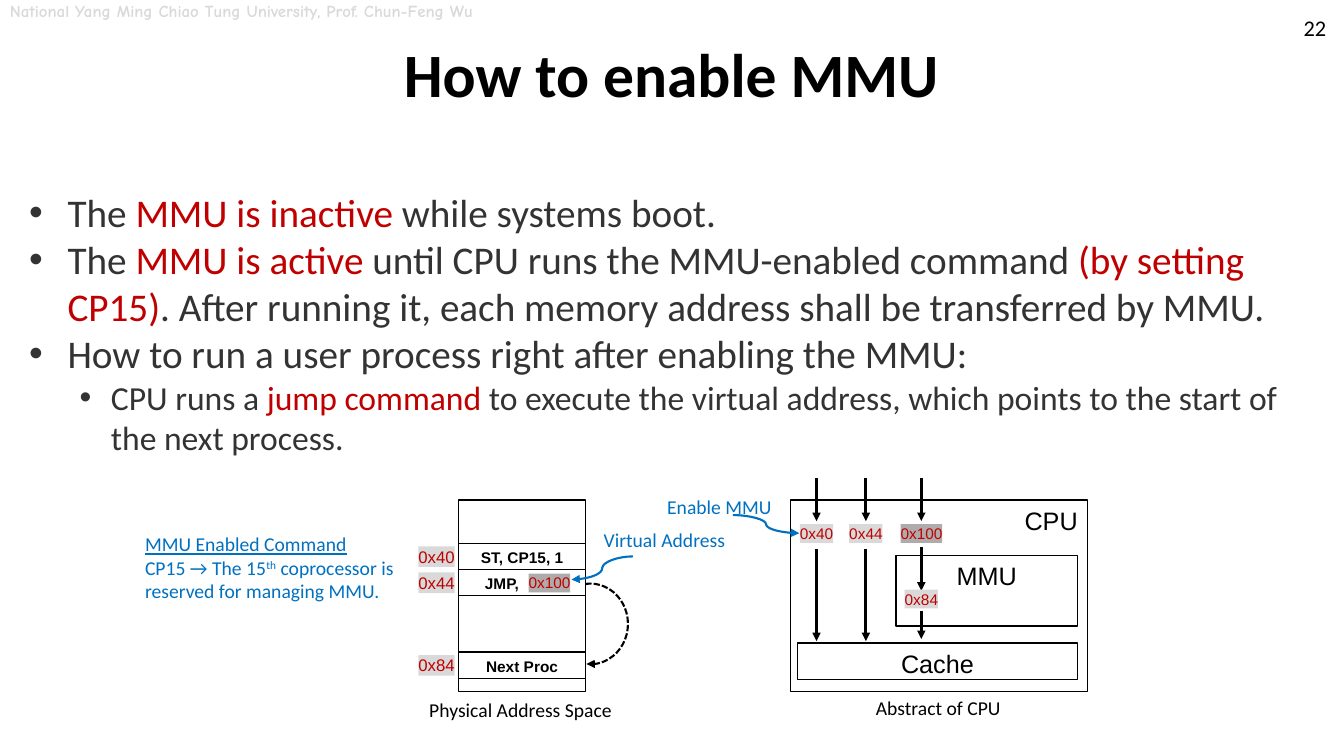
import pptx
import pptx.dml.color
import pptx.enum.dml
import pptx.enum.shapes
import pptx.enum.text
import pptx.oxml.ns
import pptx.util
from lxml import etree

# Grid of square cells: 10 columns or rows to the inch
CELL = pptx.util.Inches(0.1)
COLS, ROWS = 133.33, 75

BLACK, GREY, RED, BLUE = "000000", "333333", "C00000", "0070C0"
LIGHT, DARK = "D9D9D9", "AFABAB"
ALIGN = pptx.enum.text.PP_ALIGN
ANCHOR = pptx.enum.text.MSO_ANCHOR
SHAPE = pptx.enum.shapes.MSO_SHAPE
LINK = pptx.enum.shapes.MSO_CONNECTOR


def cells(*values):
    return [int(v * CELL) for v in values]


def rgb(value):
    return pptx.dml.color.RGBColor.from_string(value)


def add_xml(parent, tag, **attributes):
    return etree.SubElement(parent, pptx.oxml.ns.qn(tag), **attributes)


def set_font(p, size, color, name="Calibri", bold=False):
    f = p.font
    f.size, f.name, f.bold = pptx.util.Pt(size), name, bold
    f.color.rgb = rgb(color)


def add_runs(p, runs):
    """Each run is a plain string or a (text, colour) pair."""
    for item in runs:
        text, color = item if isinstance(item, tuple) else (item, None)
        r = p.add_run()
        r.text = text
        if color:
            r.font.color.rgb = rgb(color)


def move(sp, x, y, w, h):
    sp.left, sp.top, sp.width, sp.height = cells(x, y, w, h)


def style_line(sp, color, width, arrow=False):
    sp.line.color.rgb = rgb(color)
    sp.line.width = pptx.util.Pt(width)
    if arrow:
        add_xml(sp.line._get_or_add_ln(), "a:tailEnd", type="triangle")


def label(s, text, x, y, w, h, size=14, color=BLACK, wrap=True, **font):
    sp = s.shapes.add_textbox(*cells(x, y, w, h))
    tf = sp.text_frame
    tf.word_wrap = wrap
    p = tf.paragraphs[0]
    p.text = text
    set_font(p, size, color, **font)
    return tf


def box(s, x, y, w, h, text="", size=18, align=ALIGN.CENTER, bold=False):
    """Outlined block with its caption at the top."""
    sp = s.shapes.add_shape(SHAPE.RECTANGLE, *cells(x, y, w, h))
    sp.shadow.inherit = False
    sp.fill.background()
    style_line(sp, BLACK, 1)
    tf = sp.text_frame
    tf.vertical_anchor = ANCHOR.TOP
    if text:
        p = tf.paragraphs[0]
        p.text, p.alignment = text, align
        set_font(p, size, BLACK, "Arial", bold)
    return tf


def chip(s, text, center, y, size=11, fill=LIGHT):
    """Address tag, as wide as its text."""
    w = size * len(text) * 0.075
    sp = s.shapes.add_shape(SHAPE.RECTANGLE, *cells(center - w / 2, y, w, size * 0.17))
    sp.shadow.inherit = False
    sp.fill.solid()
    sp.fill.fore_color.rgb = rgb(fill)
    sp.line.fill.background()
    tf = sp.text_frame
    tf.margin_left = tf.margin_right = tf.margin_top = tf.margin_bottom = 0
    tf.word_wrap = False
    tf.vertical_anchor = ANCHOR.TOP
    p = tf.paragraphs[0]
    p.text, p.alignment = text, ALIGN.LEFT
    set_font(p, size, RED, "Arial")


def arrow(s, x1, y1, x2, y2, color=BLACK, width=2, kind=LINK.STRAIGHT):
    cn = s.shapes.add_connector(kind, *cells(x1, y1, x2, y2))
    style_line(cn, color, width, arrow=True)
    add_xml(cn._element.spPr, "a:effectLst")


def bullet(tf, first, runs, level=0):
    p = tf.paragraphs[0] if first else tf.add_paragraph()
    p.level = level
    indent, hang, size = [(3.8, 3.8, 28), (8.1, 3.1, 24)][level]
    pPr = p._p.get_or_add_pPr()
    pPr.set("marL", str(cells(indent)[0]))
    pPr.set("indent", str(cells(-hang)[0]))
    add_xml(pPr, "a:buFont", typeface="Arial")
    add_xml(pPr, "a:buChar", char="•")
    p.space_before = pptx.util.Pt(0)
    set_font(p, size, GREY)
    add_runs(p, runs)


def add_heading(s):
    label(s, "National Yang Ming Chiao Tung University, Prof. Chun-Feng Wu",
          0, -0.4, 51.9, 3, 12, LIGHT, wrap=False, name="Comic Neue", bold=True)
    number = label(s, "22", 127.6, 0.1, 5.7, 5.3, 16)
    number.vertical_anchor = ANCHOR.MIDDLE
    number.paragraphs[0].alignment = ALIGN.CENTER

    title = s.shapes.title
    move(title, 1.9, 1.9, COLS - 3.9, 11.6)
    tf = title.text_frame
    tf.vertical_anchor = ANCHOR.MIDDLE
    tf.auto_size = pptx.enum.text.MSO_AUTO_SIZE.NONE
    p = tf.paragraphs[0]
    p.text, p.alignment, p.line_spacing = "How to enable MMU", ALIGN.CENTER, 0.9
    set_font(p, 44, BLACK, bold=True)


def add_body(s):
    body = s.placeholders[1]
    move(body, 1.9, 18.2, COLS - 3.9, 54.8)
    tf = body.text_frame
    tf.auto_size = pptx.enum.text.MSO_AUTO_SIZE.NONE
    bullet(tf, True, ["The ", ("MMU is inactive", RED), " while systems boot."])
    bullet(tf, False, ["The ", ("MMU is active ", RED),
                       "until CPU runs the MMU-enabled command ", ("(by setting CP15)", RED),
                       ". After running it, each memory address shall be transferred by MMU."])
    bullet(tf, False, ["How to run a user process right after enabling the MMU:"])
    bullet(tf, False, ["CPU runs a ", ("jump command", RED),
                       " to execute the virtual address, which points to the start of "
                       "the next process."], level=1)


def add_memory(s):
    left, width = 45.5, 12.6
    box(s, left, 49.6, width, 19)
    for address, y, text in [("0x40", 53.9, "ST, CP15, 1"), ("0x44", 56.5, "JMP,"),
                             ("0x84", 64.7, "Next Proc")]:
        tf = box(s, left, y, width, 2.6, text, 11, bold=True)
        chip(s, address, left - 2.2, y + 0.3, 12)
        if text == "JMP,":
            tf.paragraphs[0].alignment = ALIGN.LEFT
            tf.margin_left = cells(2.6)[0]
    chip(s, "0x100", 54.5, 56.9, fill=DARK)
    label(s, "Physical Address Space", 41.6, 68.7, 25.1, 3.4)

    # Jump from the command to the next process
    arc = s.shapes.add_shape(SHAPE.ARC, *cells(54.8, 57.9, 7.5, 8))
    arc.shadow.inherit = False
    arc.fill.background()
    arc.adjustments[0], arc.adjustments[1] = 157.79, 57.17
    arc.line.dash_style = pptx.enum.dml.MSO_LINE.SQUARE_DOT
    style_line(arc, BLACK, 1.5, arrow=True)

    # Notes on the commands
    tf = label(s, "MMU Enabled Command", 13.4, 52.3, 27.5, 8.1, color=BLUE)
    tf.paragraphs[0].font.underline = True
    p = tf.add_paragraph()
    set_font(p, 14, BLUE)
    add_runs(p, ["CP15 → The 15", "th", " coprocessor is reserved for managing MMU."])
    p.runs[1].font._element.set("baseline", "30000")
    label(s, "Virtual Address", 58.9, 51.9, 14.5, 3.4, color=BLUE)
    arrow(s, 62.8, 55.2, 56.7, 57.5, BLUE, 1.5, LINK.CURVE)


def add_cpu(s):
    box(s, 78.4, 49.6, 29.5, 19, "CPU", align=ALIGN.RIGHT)
    box(s, 88.9, 55.1, 18, 7, "MMU")
    box(s, 79.1, 63.8, 27.8, 3.6, "Cache")
    label(s, "Abstract of CPU", 85.9, 68.6, 25.1, 3.4)

    # One lane per address; only the last passes through the MMU
    direct = [(54.5, 63.6)]
    for x, address, fill, steps in [(81, "0x40", LIGHT, direct), (85.9, "0x44", LIGHT, direct),
                                    (91.4, "0x100", DARK, [(54.3, 58.6), (60.6, 63.4)])]:
        chip(s, address, x, 52, fill=fill)
        for start, end in [(47.4, 51.7)] + steps:
            arrow(s, x, start, x, end)
    chip(s, "0x84", 91.4, 58.5)
    label(s, "Enable MMU", 65.2, 48.6, 12.6, 3.4, color=BLUE)
    arrow(s, 72.7, 51.1, 79.3, 52.9, BLUE, 1.5, LINK.CURVE)


def main():
    prs = pptx.Presentation()
    prs.slide_width, prs.slide_height = cells(COLS, ROWS)
    s = prs.slides.add_slide(prs.slide_layouts[1])
    add_heading(s)
    add_body(s)
    add_memory(s)
    add_cpu(s)
    prs.save("out.pptx")


if __name__ == "__main__":
    main()
